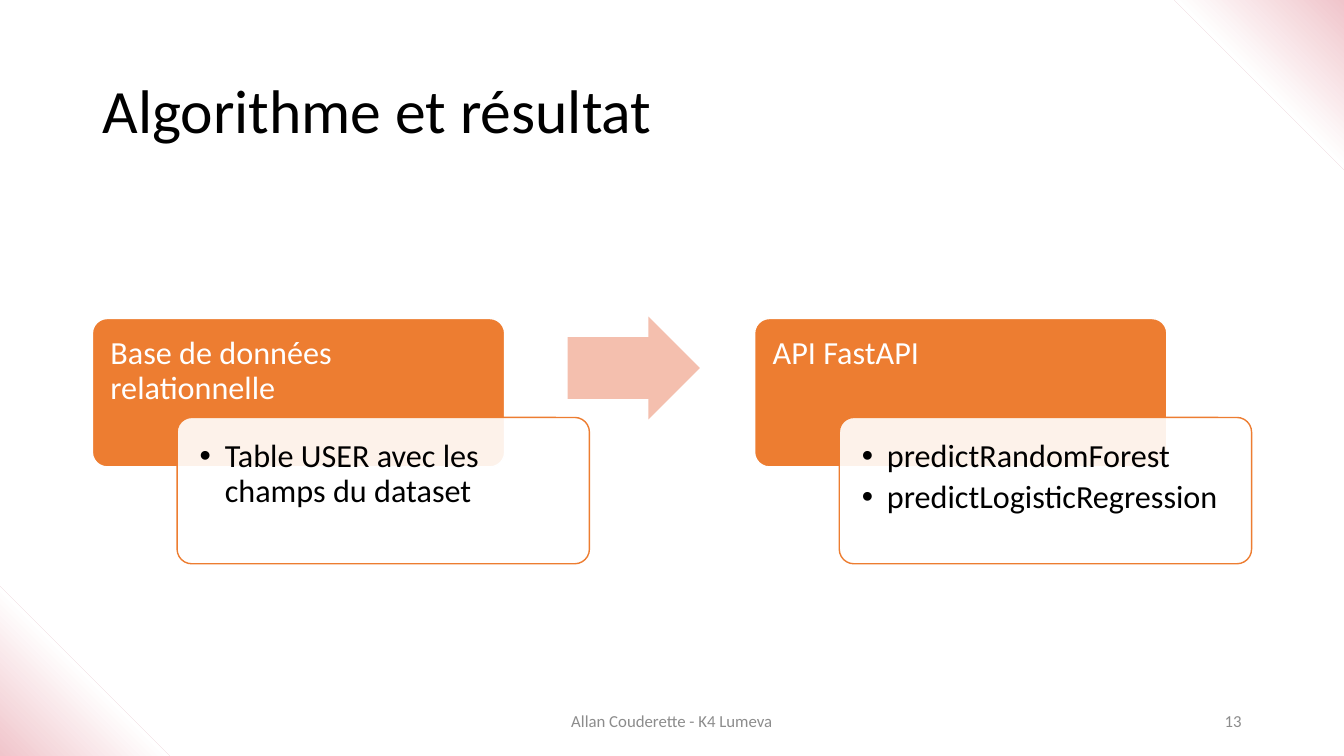
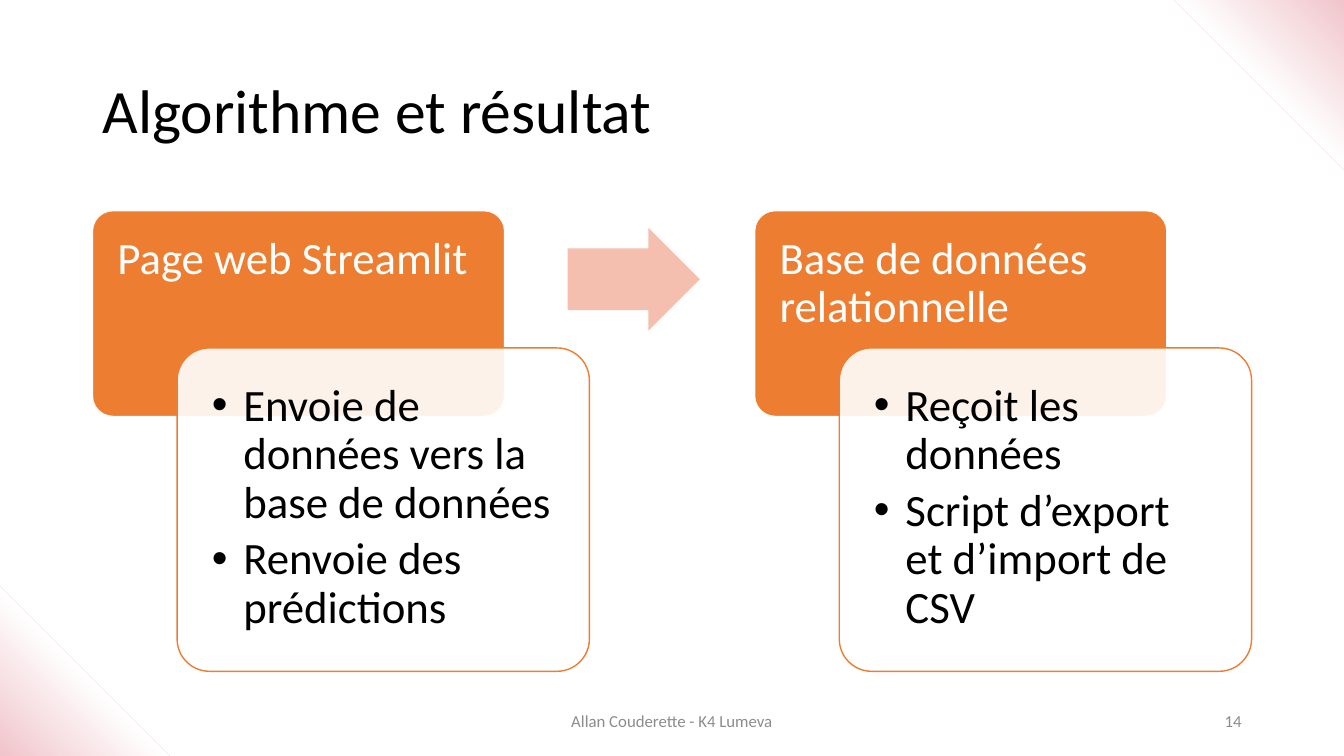
from lxml.etree import SubElement
from pptx import Presentation
from pptx.dml.color import RGBColor
from pptx.enum.shapes import MSO_SHAPE as Preset
from pptx.enum.text import MSO_ANCHOR as Anchor, MSO_AUTO_SIZE as AutoSize, PP_ALIGN as Align
from pptx.oxml.ns import qn
from pptx.util import Pt

WIDTH, HEIGHT = 960, 540
FONT = "Calibri"
COLORS = {
    "black": "000000",
    "white": "FFFFFF",
    "grey": "8C8C8C",
    "orange": "ED7D31",
    "salmon": "F4BFAE",
    "pink": "F0C5CB",
}
FOOTER = "Allan Couderette - K4 Lumeva"
TITLE = "Algorithme et résultat"
CARD_LEFTS = (66, 539)
CARD_WIDTH = 294.5
BODY_SHIFT = 60.5
ARROW_LEFT, ARROW_WIDTH, ARROW_HEIGHT = 405.5, 94.5, 73.5
CORNER = 0.1
CORNER_INSET = 0.03
GLOW = 121

FLOWS = [
    {
        "number": "13",
        "top": 227.5,
        "head_height": 106,
        "body_height": 104.5,
        "size": 23,
        "inset": 13,
        "indent": 18,
        "cards": [
            ("Base de données relationnelle", ["Table USER avec les champs du dataset"]),
            ("API FastAPI", ["predictRandomForest", "predictLogisticRegression"]),
        ],
    },
    {
        "number": "14",
        "top": 150.5,
        "head_height": 147,
        "body_height": 231,
        "size": 32,
        "inset": 18,
        "indent": 22.5,
        "cards": [
            ("Page web Streamlit",
             ["Envoie de données vers la base de données", "Renvoie des prédictions"]),
            ("Base de données relationnelle",
             ["Reçoit les données", "Script d’export et d’import de CSV"]),
        ],
    },
]


def rgb(name):
    return RGBColor.from_string(COLORS[name])


def apply(target, formats):
    for name, value in formats.items():
        setattr(target, name, value)


class Deck:
    """Holds the shared style and the slide being built."""

    def __init__(self):
        self.presentation = Presentation()
        apply(self.presentation, {"slide_width": Pt(WIDTH), "slide_height": Pt(HEIGHT)})
        self.slide = None

    def new_slide(self, title, number):
        self.slide = self.presentation.slides.add_slide(self.presentation.slide_layouts[5])
        self.glow((0, HEIGHT), (GLOW, HEIGHT - GLOW), 45)
        self.glow((WIDTH, 0), (WIDTH - GLOW, GLOW), 225)
        placeholder = self.slide.shapes.title
        box = {"left": 66, "top": 28.8, "width": 828, "height": 104.4}
        apply(placeholder, {name: Pt(value) for name, value in box.items()})
        self.fill_text(placeholder, [title], 44, "black", anchor=Anchor.MIDDLE)
        self.footer(318, 324, FOOTER, Align.CENTER)
        self.footer(678, 216, number, Align.RIGHT)

    def fill_text(self, shape, lines, size, color, anchor=Anchor.TOP, align=Align.LEFT,
                  spacing=0.9, insets=(7.2, 3.6, 7.2, 3.6), indent=0):
        frame = shape.text_frame
        sides = ("margin_left", "margin_top", "margin_right", "margin_bottom")
        apply(frame, {side: Pt(inset) for side, inset in zip(sides, insets)})
        apply(frame, {"word_wrap": True, "auto_size": AutoSize.NONE, "vertical_anchor": anchor})
        for index, line in enumerate(lines):
            paragraph = frame.add_paragraph() if index else frame.paragraphs[0]
            apply(paragraph, {"alignment": align, "line_spacing": spacing})
            run = paragraph.add_run()
            run.text = line
            apply(run.font, {"name": FONT, "size": Pt(size)})
            run.font.color.rgb = rgb(color)
            if indent:
                paragraph.space_after = Pt(round(size * 0.18, 1))
                self.bullet(paragraph, indent)

    def bullet(self, paragraph, indent):
        properties = paragraph._p.get_or_add_pPr()
        properties.set("marL", str(Pt(indent)))
        properties.set("indent", str(-Pt(indent)))
        SubElement(properties, qn("a:buFont")).set("typeface", "Arial")
        SubElement(properties, qn("a:buChar")).set("char", "•")

    def shape(self, preset, box, fill, adjustments, line=None, opacity=100):
        shape = self.slide.shapes.add_shape(preset, *map(Pt, box))
        shape.shadow.inherit = False
        shape.fill.solid()
        shape.fill.fore_color.rgb = rgb(fill)
        for index, value in enumerate(adjustments):
            shape.adjustments[index] = value
        if opacity < 100:
            color = shape.element.spPr.find(qn("a:solidFill")).find(qn("a:srgbClr"))
            SubElement(color, qn("a:alpha")).set("val", str(opacity * 1000))
        if line:
            shape.line.color.rgb = rgb(line)
            shape.line.width = Pt(1)
        else:
            shape.line.fill.background()
        return shape

    def glow(self, corner, reach, angle):
        (x, y), (far_x, far_y) = corner, reach
        builder = self.slide.shapes.build_freeform(Pt(x), Pt(y))
        builder.add_line_segments([(Pt(far_x), Pt(y)), (Pt(x), Pt(far_y))], close=True)
        triangle = builder.convert_to_shape()
        triangle.shadow.inherit = False
        triangle.line.fill.background()
        triangle.fill.gradient()
        triangle.fill.gradient_angle = angle
        for stop, color, position in zip(triangle.fill.gradient_stops, ("pink", "white"), (0, 0.5)):
            stop.color.rgb = rgb(color)
            stop.position = position

    def footer(self, left, width, text, align):
        box = self.slide.shapes.add_textbox(Pt(left), Pt(500.5), Pt(width), Pt(28.8))
        self.fill_text(box, [text], 12, "grey", Anchor.MIDDLE, align, spacing=1.0)

    def card(self, left, flow, heading, points):
        size, inset, head_height = flow["size"], flow["inset"], flow["head_height"]
        head = self.shape(Preset.ROUNDED_RECTANGLE, (left, flow["top"], CARD_WIDTH, head_height),
                          "orange", [CORNER], "white")
        head_inset = inset - head_height * CORNER_INSET
        self.fill_text(head, [heading], size, "white", insets=[head_inset] * 4)
        body_top = flow["top"] + head_height * 2 / 3
        body = self.shape(Preset.ROUNDED_RECTANGLE,
                          (left + BODY_SHIFT, body_top, CARD_WIDTH, flow["body_height"]),
                          "white", [CORNER], "orange", opacity=90)
        self.fill_text(body, points, size, "black", insets=[inset] * 4, indent=flow["indent"])

    def arrow(self, flow):
        top = flow["top"] + flow["head_height"] / 3 - ARROW_HEIGHT / 2
        self.shape(Preset.RIGHT_ARROW, (ARROW_LEFT, top, ARROW_WIDTH, ARROW_HEIGHT),
                   "salmon", [0.6, 0.5])


def main():
    deck = Deck()
    for flow in FLOWS:
        deck.new_slide(TITLE, flow["number"])
        for left, (heading, points) in zip(CARD_LEFTS, flow["cards"]):
            deck.card(left, flow, heading, points)
        deck.arrow(flow)
    deck.presentation.save("out.pptx")


if __name__ == "__main__":
    main()
